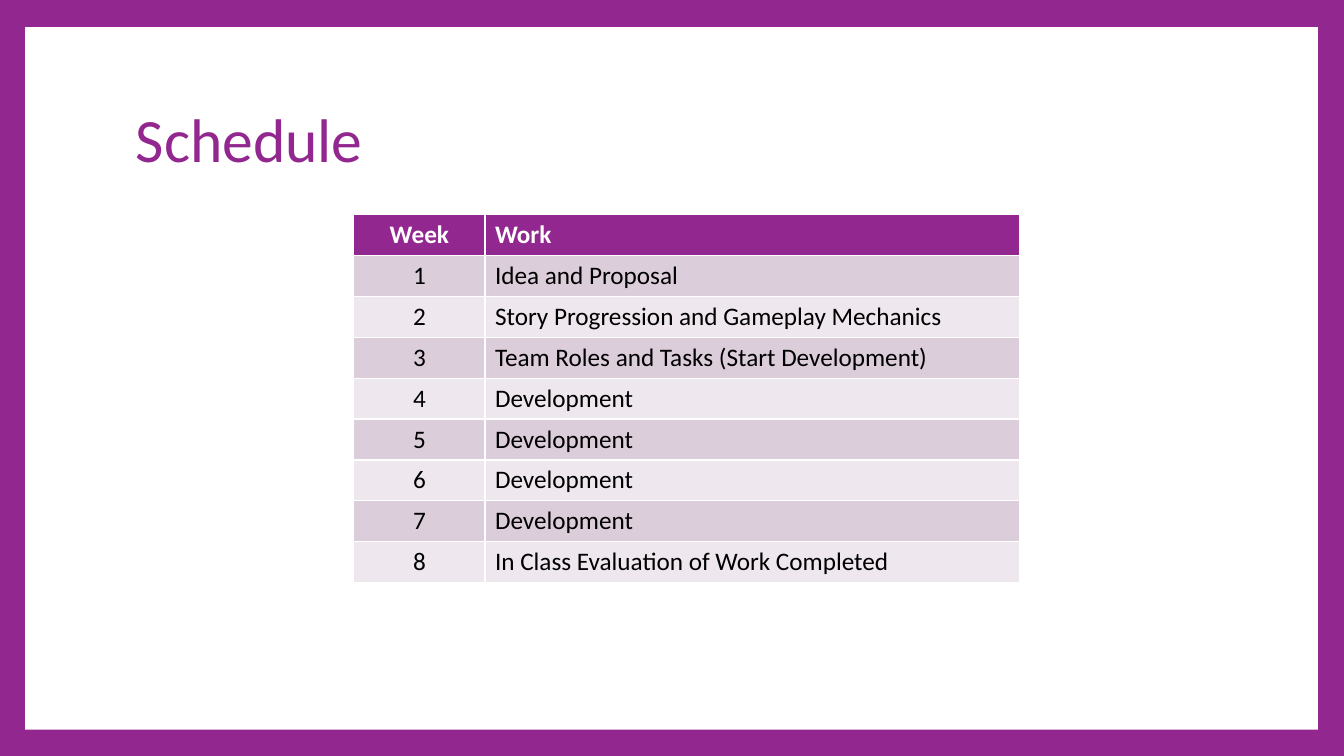
from pptx import Presentation
from pptx.dml.color import RGBColor
from pptx.enum.shapes import MSO_SHAPE
from pptx.enum.text import MSO_ANCHOR, PP_ALIGN
from pptx.util import Inches, Pt

RECTANGLE = MSO_SHAPE.RECTANGLE
MIDDLE = MSO_ANCHOR.MIDDLE
LEFT, CENTER = PP_ALIGN.LEFT, PP_ALIGN.CENTER

PURPLE = RGBColor(0x92, 0x27, 0x8F)
DARK_BAND = RGBColor(0xDC, 0xCD, 0xDB)
LIGHT_BAND = RGBColor(0xEE, 0xE8, 0xEE)
WHITE = RGBColor(0xFF, 0xFF, 0xFF)
BLACK = RGBColor(0x00, 0x00, 0x00)
FONT = "Calibri"

WEEKLY_WORK = [
    "Idea and Proposal",
    "Story Progression and Gameplay Mechanics",
    "Team Roles and Tasks (Start Development)",
    *["Development"] * 4,
    "In Class Evaluation of Work Completed",
]
COLUMN_WIDTHS = (1.3, 5.3)


def write(paragraph, text, size, color, bold=False, alignment=LEFT):
    paragraph.text = text
    paragraph.alignment = alignment
    font = paragraph.runs[0].font
    font.name, font.size, font.bold = FONT, Pt(size), bold
    font.color.rgb = color


def add_frame(slide, left, top, width, height):
    """Purple background with a white panel in the given box."""
    background = slide.background.fill
    background.solid()
    background.fore_color.rgb = PURPLE
    panel = slide.shapes.add_shape(
        RECTANGLE, Inches(left), Inches(top), Inches(width), Inches(height))
    panel.shadow.inherit = False
    panel.fill.solid()
    panel.fill.fore_color.rgb = WHITE
    panel.line.fill.background()


def add_title(slide, text, left, top, width, height):
    title = slide.shapes.add_textbox(
        Inches(left), Inches(top), Inches(width), Inches(height))
    text_frame = title.text_frame
    text_frame.word_wrap = True
    text_frame.vertical_anchor = MIDDLE
    paragraph = text_frame.paragraphs[0]
    write(paragraph, text, 44, PURPLE)
    paragraph.line_spacing = 0.9


def add_schedule(slide, left, top, width, height):
    """Week-by-week table; the white rules come from the table style."""
    rows = [("Week", "Work")]
    rows += [(str(week), work) for week, work in enumerate(WEEKLY_WORK, 1)]
    table = slide.shapes.add_table(
        len(rows), len(COLUMN_WIDTHS),
        Inches(left), Inches(top), Inches(width), Inches(height)).table
    for column, share in zip(table.columns, COLUMN_WIDTHS):
        column.width = Inches(width * share / sum(COLUMN_WIDTHS))

    for row_index, row in enumerate(rows):
        is_header = row_index == 0
        band = DARK_BAND if row_index % 2 else LIGHT_BAND
        for column_index, text in enumerate(row):
            cell = table.cell(row_index, column_index)
            cell.fill.solid()
            cell.fill.fore_color.rgb = PURPLE if is_header else band
            write(cell.text_frame.paragraphs[0], text, 18,
                  WHITE if is_header else BLACK, is_header,
                  LEFT if column_index else CENTER)


def main():
    presentation = Presentation()
    presentation.slide_width = Inches(13.33)
    presentation.slide_height = Inches(7.5)
    slide = presentation.slides.add_slide(presentation.slide_layouts[6])

    add_frame(slide, 0.25, 0.27, 12.82, 6.97)
    add_title(slide, "Schedule", 1.25, 0.67, 10.8, 1.48)
    add_schedule(slide, 3.51, 2.13, 6.6, 3.65)

    presentation.save("out.pptx")


if __name__ == "__main__":
    main()
